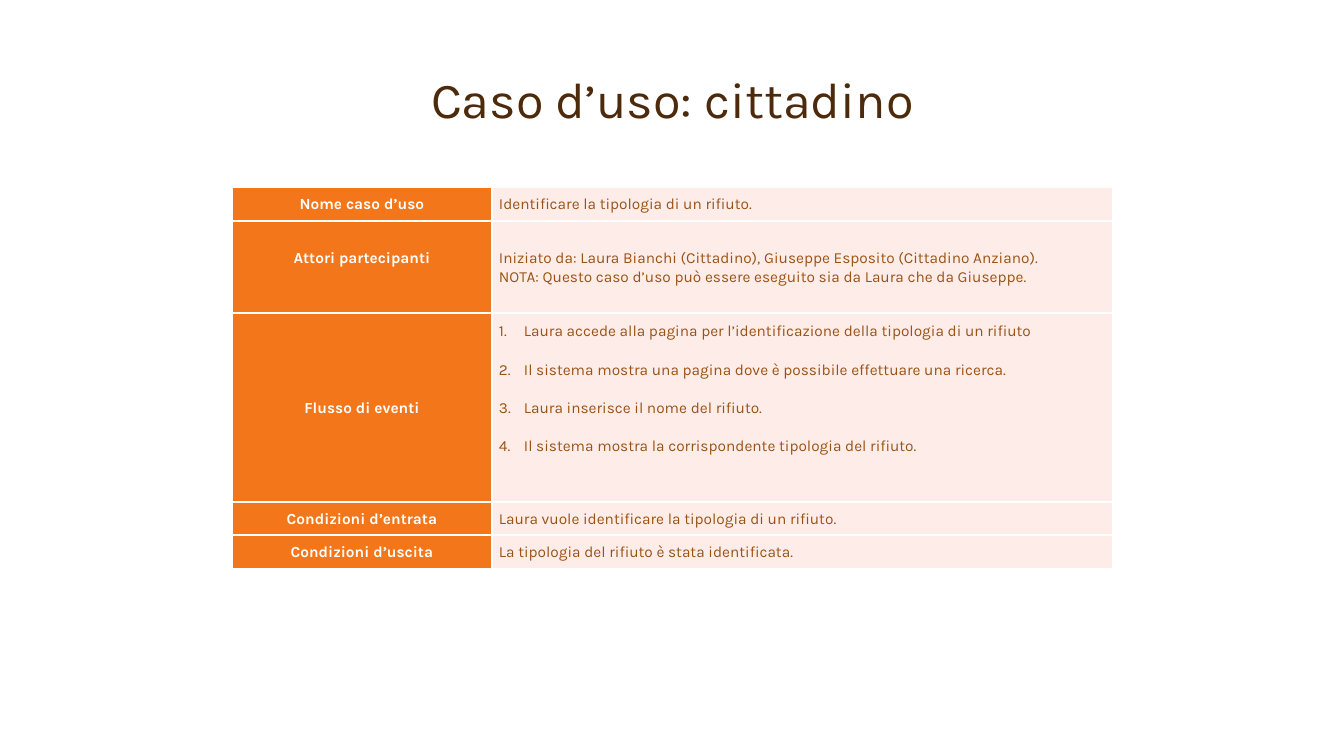
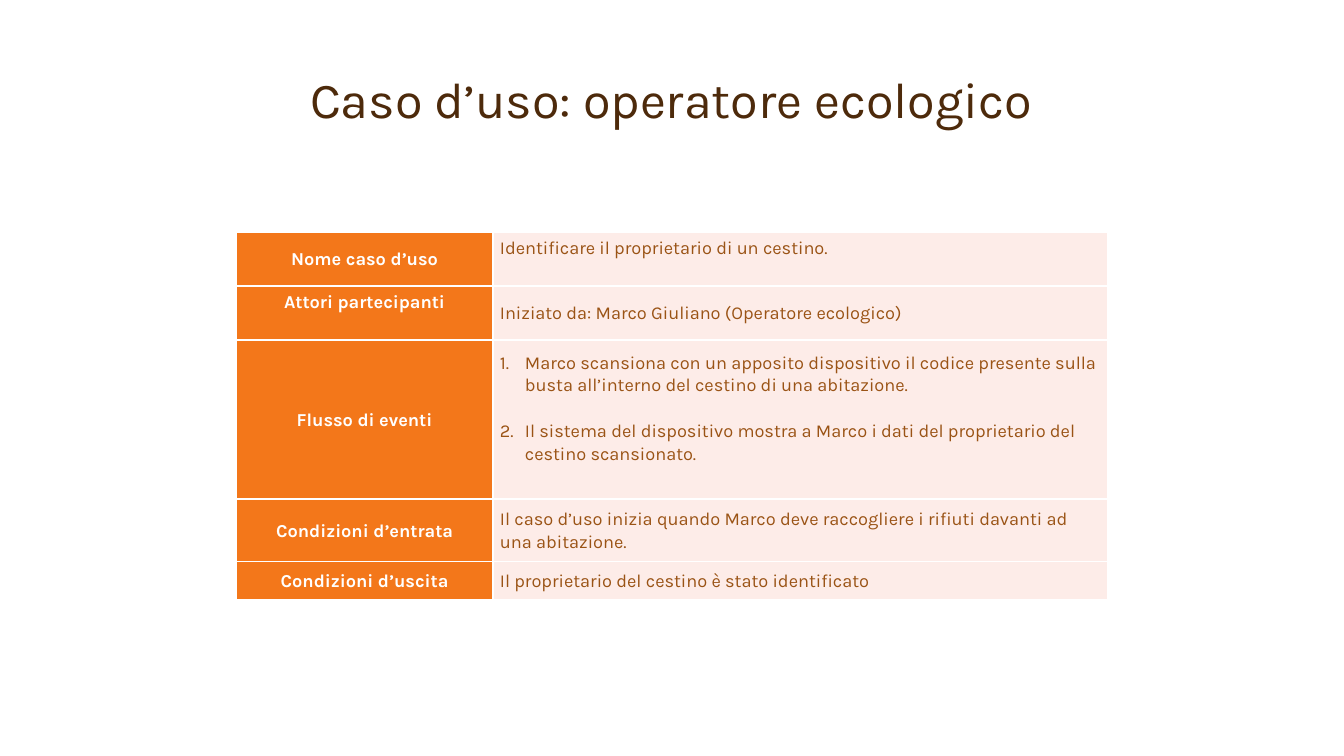
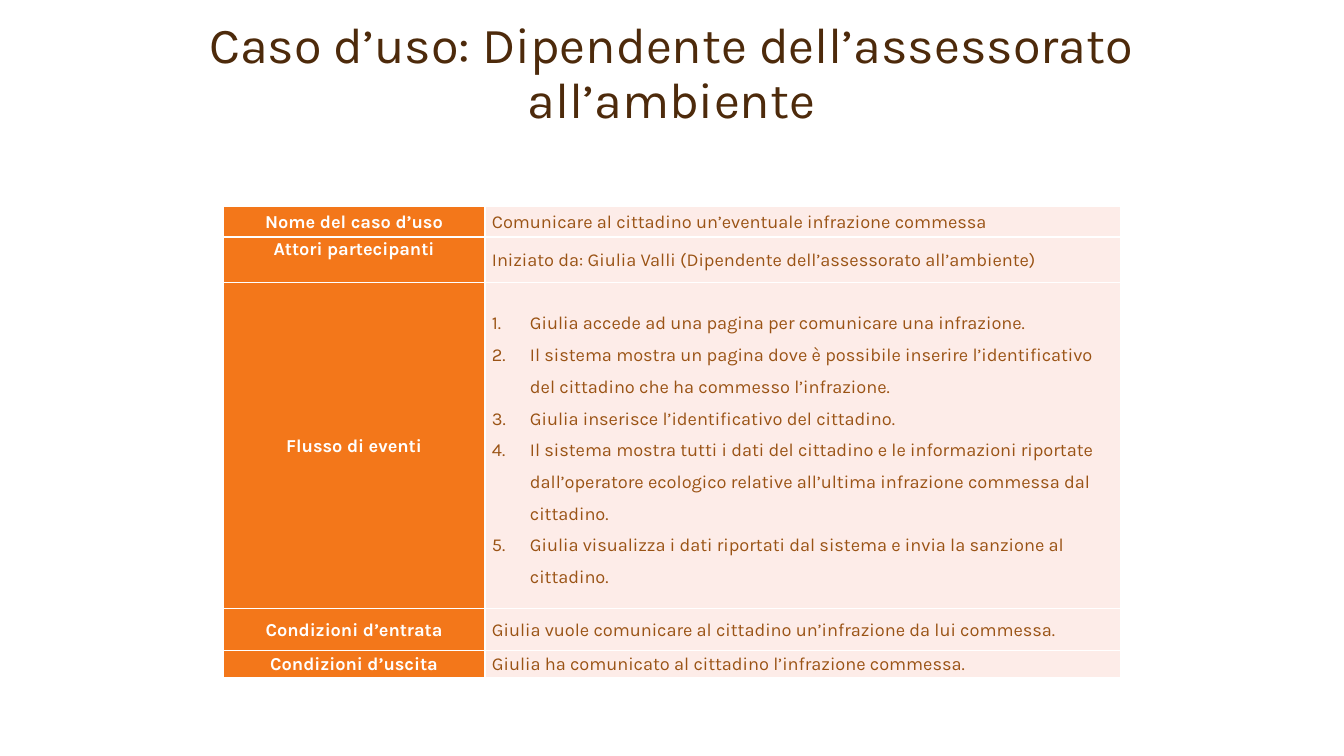
"""Build three use-case slides, each a title above a two-column table."""
import dataclasses

import lxml.etree
import pptx
import pptx.dml.color
import pptx.enum.text
import pptx.oxml.ns
import pptx.util


@dataclasses.dataclass(frozen=True)
class Theme:
    font: str = "Karla"
    title_color: str = "4D2A0B"
    label_color: str = "FFFFFF"
    label_fill: str = "F3771A"
    body_color: str = "9A5315"
    body_fill: str = "FDECE8"
    border_color: str = "FFFFFF"
    border_pt: int = 1
    title_pt: int = 36
    title_spacing: float = 0.9
    text_spacing: float = 1.07


@dataclasses.dataclass(frozen=True)
class Row:
    label: str
    body: list
    height: int
    label_pad: int = 0
    body_pad: int = 0
    numbered: bool = False


@dataclasses.dataclass(frozen=True)
class UseCase:
    title: str
    title_x: int
    title_width: int
    x: int
    y: int
    columns: tuple
    text_pt: int
    list_indent: int
    list_gap: int
    list_spacing: float
    rows: list


THEME = Theme()
SLIDE_WIDTH, SLIDE_HEIGHT = 1344, 756
TITLE_HEIGHT = 134
CELL_MARGIN = 7
EMU_PER_PX = 914400 / 100.8
ALIGN = pptx.enum.text.PP_ALIGN
ANCHOR = pptx.enum.text.MSO_ANCHOR
ACTORS, FLOW = "Attori partecipanti", "Flusso di eventi"
ENTRY, EXIT = "Condizioni d’entrata", "Condizioni d’uscita"

USE_CASES = [
    UseCase(
        "Caso d’uso: cittadino", 118, 1109, 232, 187, (260, 621), 11, 25, 19, 1.07,
        [
            Row("Nome caso d’uso", ["Identificare la tipologia di un rifiuto."], 34),
            Row(ACTORS, [
                "Iniziato da: Laura Bianchi (Cittadino), Giuseppe Esposito (Cittadino Anziano).",
                "NOTA: Questo caso d’uso può essere eseguito sia da Laura che da Giuseppe.",
            ], 92, label_pad=19),
            Row(FLOW, [
                "Laura accede alla pagina per l’identificazione della tipologia di un rifiuto",
                "Il sistema mostra una pagina dove è possibile effettuare una ricerca.",
                "Laura inserisce il nome del rifiuto.",
                "Il sistema mostra la corrispondente tipologia del rifiuto.",
            ], 189, body_pad=38, numbered=True),
            Row(ENTRY, ["Laura vuole identificare la tipologia di un rifiuto."], 33),
            Row(EXIT, ["La tipologia del rifiuto è stata identificata."], 34),
        ],
    ),
    UseCase(
        "Caso d’uso: operatore ecologico", 117, 1109, 236, 232, (257, 615), 13, 25, 23, 1.07,
        [
            Row("Nome caso d’uso", ["Identificare il proprietario di un cestino."], 54,
                body_pad=23),
            Row(ACTORS, ["Iniziato da: Marco Giuliano (Operatore ecologico)"], 54,
                label_pad=23),
            Row(FLOW, [
                "Marco scansiona con un apposito dispositivo il codice presente sulla busta "
                "all’interno del cestino di una abitazione.",
                "Il sistema del dispositivo mostra a Marco i dati del proprietario del "
                "cestino scansionato.",
            ], 159, body_pad=23, numbered=True),
            Row(ENTRY, [
                "Il caso d’uso inizia quando Marco deve raccogliere i rifiuti davanti ad "
                "una abitazione.",
            ], 63),
            Row(EXIT, ["Il proprietario del cestino è stato identificato"], 38),
        ],
    ),
    UseCase(
        "Caso d’uso: Dipendente dell’assessorato all’ambiente",
        79, 1185, 223, 206, (262, 636), 13, 38, 0, 1.5,
        [
            Row("Nome del caso d’uso",
                ["Comunicare al cittadino un’eventuale infrazione commessa"], 31),
            Row(ACTORS,
                ["Iniziato da: Giulia Valli (Dipendente dell’assessorato all’ambiente)"], 45,
                label_pad=22),
            Row(FLOW, [
                "Giulia accede ad una pagina per comunicare una infrazione.",
                "Il sistema mostra un pagina dove è possibile inserire l’identificativo del "
                "cittadino che ha commesso l’infrazione.",
                "Giulia inserisce l’identificativo del cittadino.",
                "Il sistema mostra tutti i dati del cittadino e le informazioni riportate "
                "dall’operatore ecologico relative all’ultima infrazione commessa dal cittadino.",
                "Giulia visualizza i dati riportati dal sistema e invia la sanzione al cittadino.",
            ], 326, numbered=True),
            Row(ENTRY, ["Giulia vuole comunicare al cittadino un’infrazione da lui commessa."], 42),
            Row(EXIT, ["Giulia ha comunicato al cittadino l’infrazione commessa."], 27),
        ],
    ),
]


def px(value):
    return pptx.util.Emu(round(value * EMU_PER_PX))


def rgb(color):
    return pptx.dml.color.RGBColor.from_string(color)


def write(tf, lines, size, color, bold=False, align=ALIGN.LEFT, spacing=THEME.text_spacing):
    tf.text = "\n".join(lines)
    for p in tf.paragraphs:
        p.alignment = align
        p.line_spacing = spacing
        for r in p.runs:
            r.font.name = THEME.font
            r.font.size = pptx.util.Pt(size)
            r.font.bold = bold
            r.font.color.rgb = rgb(color)


def number(tf, indent, gap):
    for i, p in enumerate(tf.paragraphs):
        if i:
            p.space_before = px(gap)
        props = p._p.get_or_add_pPr()
        props.set("marL", str(px(indent)))
        props.set("indent", str(-px(indent)))
        lxml.etree.SubElement(props, pptx.oxml.ns.qn("a:buAutoNum"), type="arabicPeriod")


def style_cell(cell, fill, pad):
    qn = pptx.oxml.ns.qn
    props = cell._tc.get_or_add_tcPr()
    for side in ("lnL", "lnR", "lnT", "lnB"):
        line = lxml.etree.SubElement(
            props, qn("a:" + side), w=str(pptx.util.Pt(THEME.border_pt)))
        solid = lxml.etree.SubElement(line, qn("a:solidFill"))
        lxml.etree.SubElement(solid, qn("a:srgbClr"), val=THEME.border_color)
    cell.fill.solid()
    cell.fill.fore_color.rgb = rgb(fill)
    cell.vertical_anchor = ANCHOR.MIDDLE
    cell.margin_left = cell.margin_right = px(CELL_MARGIN)
    cell.margin_top = 0
    cell.margin_bottom = px(pad)


def add_title(s, case):
    sp = s.shapes.add_textbox(px(case.title_x), 0, px(case.title_width), px(TITLE_HEIGHT))
    tf = sp.text_frame
    tf.word_wrap = True
    tf.vertical_anchor = ANCHOR.BOTTOM
    write(tf, [case.title], THEME.title_pt, THEME.title_color,
          align=ALIGN.CENTER, spacing=THEME.title_spacing)


def add_use_case_table(s, case):
    table = s.shapes.add_table(
        len(case.rows), len(case.columns), px(case.x), px(case.y),
        px(sum(case.columns)), px(sum(row.height for row in case.rows))).table
    table.first_row = table.horz_banding = False
    for column, width in zip(table.columns, case.columns):
        column.width = px(width)
    for i, row in enumerate(case.rows):
        table.rows[i].height = px(row.height)
        label, body = table.cell(i, 0), table.cell(i, 1)
        style_cell(label, THEME.label_fill, row.label_pad)
        style_cell(body, THEME.body_fill, row.body_pad)
        write(label.text_frame, [row.label], case.text_pt, THEME.label_color,
              bold=True, align=ALIGN.CENTER)
        spacing = case.list_spacing if row.numbered else THEME.text_spacing
        write(body.text_frame, row.body, case.text_pt, THEME.body_color, spacing=spacing)
        if row.numbered:
            number(body.text_frame, case.list_indent, case.list_gap)


def main():
    prs = pptx.Presentation()
    prs.slide_width, prs.slide_height = px(SLIDE_WIDTH), px(SLIDE_HEIGHT)
    for case in USE_CASES:
        s = prs.slides.add_slide(prs.slide_layouts[6])
        add_title(s, case)
        add_use_case_table(s, case)
    prs.save("out.pptx")


if __name__ == "__main__":
    main()
